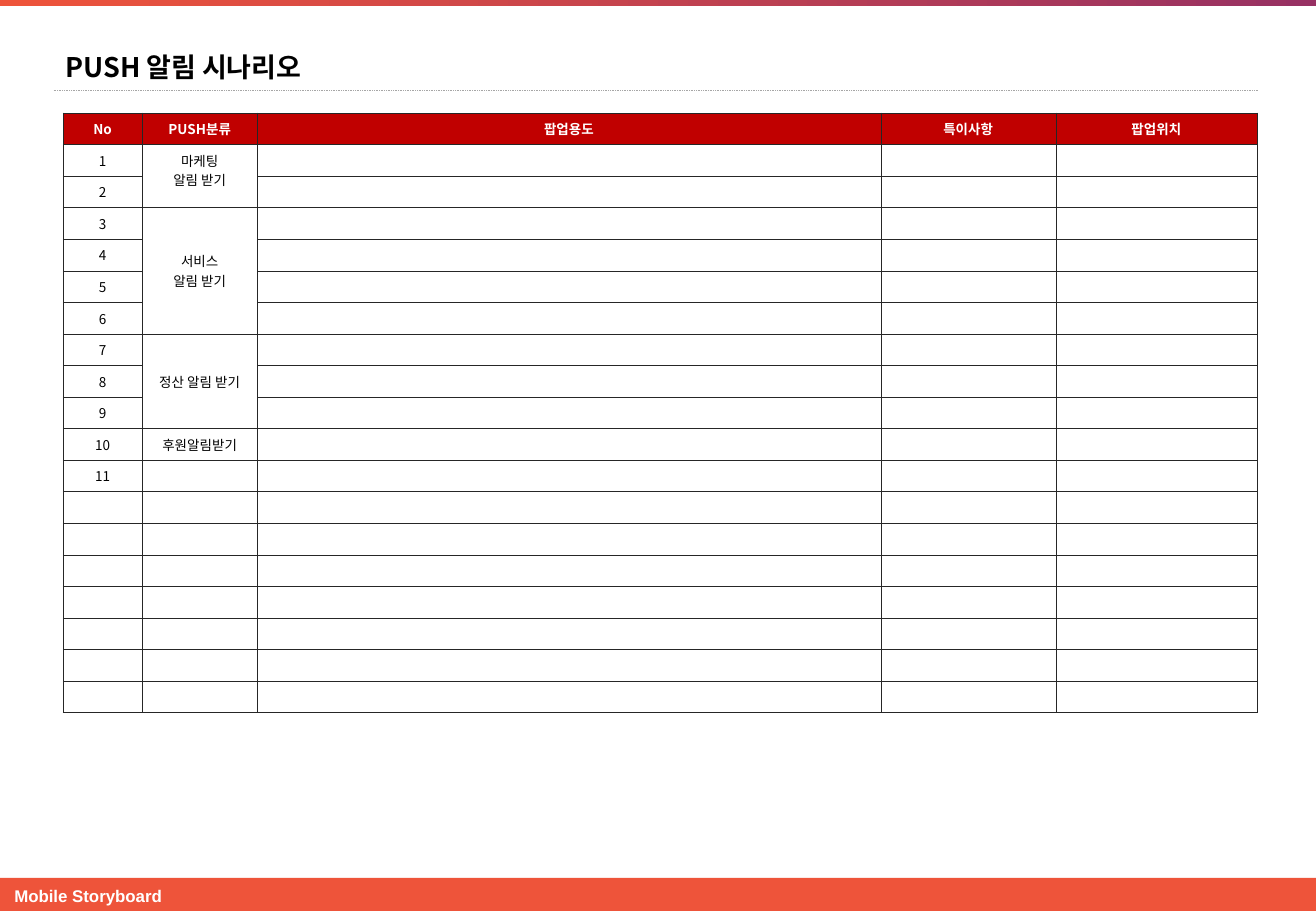
from dataclasses import dataclass

from lxml import etree
from pptx import Presentation
from pptx.dml.color import RGBColor
from pptx.enum.dml import MSO_LINE
from pptx.enum.shapes import MSO_CONNECTOR, MSO_SHAPE
from pptx.enum.text import MSO_ANCHOR, PP_ALIGN
from pptx.oxml.ns import qn
from pptx.shapes.autoshape import Shape
from pptx.slide import Slide
from pptx.table import Table, _Cell
from pptx.text.text import TextFrame
from pptx.util import Cm, Pt

RECTANGLE = MSO_SHAPE.RECTANGLE
STRAIGHT = MSO_CONNECTOR.STRAIGHT
DOTTED = MSO_LINE.ROUND_DOT
LEFT, CENTER = PP_ALIGN.LEFT, PP_ALIGN.CENTER
TOP, MIDDLE = MSO_ANCHOR.TOP, MSO_ANCHOR.MIDDLE

ORANGE = RGBColor(0xEE, 0x54, 0x3A)
PURPLE = RGBColor(0x97, 0x31, 0x63)
RED = RGBColor(0xC0, 0x00, 0x00)
WHITE = RGBColor(0xFF, 0xFF, 0xFF)
BLACK = RGBColor(0x00, 0x00, 0x00)
GRAY = RGBColor(0xA6, 0xA6, 0xA6)
BORDER = RGBColor(0x26, 0x26, 0x26)

KOREAN_FONT = "Noto Sans CJK KR"
LATIN_FONT = "Arial"
CELL_SIZE = 8
PAGE_WIDTH, PAGE_HEIGHT = 27.51, 19.05
ROW_HEIGHT = 0.66
BODY_ROWS = 18
LAST_NUMBER = 11


@dataclass(frozen=True)
class Column:
    heading: str
    width: float


@dataclass(frozen=True)
class Category:
    text: str
    first_row: int
    row_count: int = 1
    anchor: MSO_ANCHOR = MIDDLE


COLUMNS = [
    Column("No", 1.65),
    Column("PUSH분류", 2.41),
    Column("팝업용도", 13.03),
    Column("특이사항", 3.66),
    Column("팝업위치", 4.21),
]
CATEGORIES = [
    Category("마케팅\n알림 받기", 1, 2, TOP),
    Category("서비스\n알림 받기", 3, 4),
    Category("정산 알림 받기", 7, 3),
    Category("후원알림받기", 10),
]


def write_text(frame: TextFrame, text: str, *, size: float = CELL_SIZE,
               font: str = KOREAN_FONT, color: RGBColor = BLACK,
               bold: bool = False, align: PP_ALIGN = CENTER) -> None:
    for index, line in enumerate(text.split("\n")):
        para = frame.add_paragraph() if index else frame.paragraphs[0]
        para.alignment = align
        span = para.add_run()
        span.text = line
        span.font.size = Pt(size)
        span.font.bold = bold
        span.font.color.rgb = color
        span.font.name = font
        etree.SubElement(span.font._element, qn("a:ea"), typeface=font)


def add_bar(page: Slide, top: float, height: float) -> Shape:
    bar = page.shapes.add_shape(RECTANGLE, 0, Cm(top), Cm(PAGE_WIDTH), Cm(height))
    bar.shadow.inherit = False
    bar.line.fill.background()
    return bar


def add_text_box(page: Slide, left: float, top: float, width: float,
                 height: float, wrap: bool) -> TextFrame:
    box = page.shapes.add_textbox(Cm(left), Cm(top), Cm(width), Cm(height))
    box.text_frame.word_wrap = wrap
    return box.text_frame


def add_dotted_line(page: Slide, left: float, right: float, top: float) -> None:
    line = page.shapes.add_connector(STRAIGHT, Cm(left), Cm(top), Cm(right), Cm(top))
    line.line.color.rgb = GRAY
    line.line.width = Pt(0.5)
    line.line.dash_style = DOTTED
    etree.SubElement(line._element.spPr, qn("a:effectLst"))


def format_cell(cell: _Cell, fill: RGBColor | None) -> None:
    cell.vertical_anchor = MIDDLE
    properties = cell._tc.get_or_add_tcPr()
    for side in ("lnL", "lnR", "lnT", "lnB"):
        edge = etree.SubElement(properties, qn(f"a:{side}"), w=str(Pt(0.25)))
        solid = etree.SubElement(edge, qn("a:solidFill"))
        etree.SubElement(solid, qn("a:srgbClr"), val=str(BORDER))
    if fill is None:
        cell.fill.background()
    else:
        cell.fill.solid()
        cell.fill.fore_color.rgb = fill


def set_empty_size(cell: _Cell) -> None:
    """Keep blank cells as low as the written ones."""
    para = cell.text_frame.paragraphs[0]
    ending = etree.SubElement(para._p, qn("a:endParaRPr"), sz=str(CELL_SIZE * 100))
    for script in ("a:latin", "a:ea"):
        etree.SubElement(ending, qn(script), typeface=KOREAN_FONT)


def add_scenario_table(page: Slide, left: float, top: float) -> Table:
    row_count = BODY_ROWS + 1
    width = sum(column.width for column in COLUMNS)
    table = page.shapes.add_table(row_count, len(COLUMNS), Cm(left), Cm(top),
                                  Cm(width), Cm(ROW_HEIGHT * row_count)).table
    table.first_row = table.horz_banding = False
    for row_index, row in enumerate(table.rows):
        row.height = Cm(ROW_HEIGHT)
        for cell in row.cells:
            format_cell(cell, None if row_index else RED)

    # Headings, numbers and merged categories
    for index, column in enumerate(COLUMNS):
        table.columns[index].width = Cm(column.width)
        write_text(table.cell(0, index).text_frame, column.heading,
                   color=WHITE, bold=True)
    for number in range(1, LAST_NUMBER + 1):
        write_text(table.cell(number, 0).text_frame, str(number))
    for category in CATEGORIES:
        cell = table.cell(category.first_row, 1)
        if category.row_count > 1:
            cell.merge(table.cell(category.first_row + category.row_count - 1, 1))
        cell.vertical_anchor = category.anchor
        write_text(cell.text_frame, category.text)

    for cell in table.iter_cells():
        if not cell.text_frame.text:
            set_empty_size(cell)
    return table


def main() -> None:
    deck = Presentation()
    deck.slide_width, deck.slide_height = Cm(PAGE_WIDTH), Cm(PAGE_HEIGHT)
    page = deck.slides.add_slide(deck.slide_layouts[6])

    # Footer
    footer = add_bar(page, 18.36, 0.69)
    footer.fill.solid()
    footer.fill.fore_color.rgb = ORANGE
    write_text(add_text_box(page, 0.05, 18.39, 3.63, 0.68, wrap=False),
               "Mobile Storyboard", size=10, font=LATIN_FONT, color=WHITE,
               bold=True, align=LEFT)

    # Top gradient bar
    header = add_bar(page, 0, 0.13)
    header.fill.gradient()
    header.fill.gradient_angle = 180
    for stop, color in zip(header.fill.gradient_stops, (PURPLE, ORANGE)):
        stop.color.rgb = color

    # Title
    add_dotted_line(page, 1.12, 26.29, 1.9)
    write_text(add_text_box(page, 1.12, 0.93, 23.77, 0.94, wrap=True),
               "PUSH 알림 시나리오", size=16, bold=True, align=LEFT)

    # Scenario table
    add_scenario_table(page, 1.32, 2.36)
    deck.save("out.pptx")


if __name__ == "__main__":
    main()
